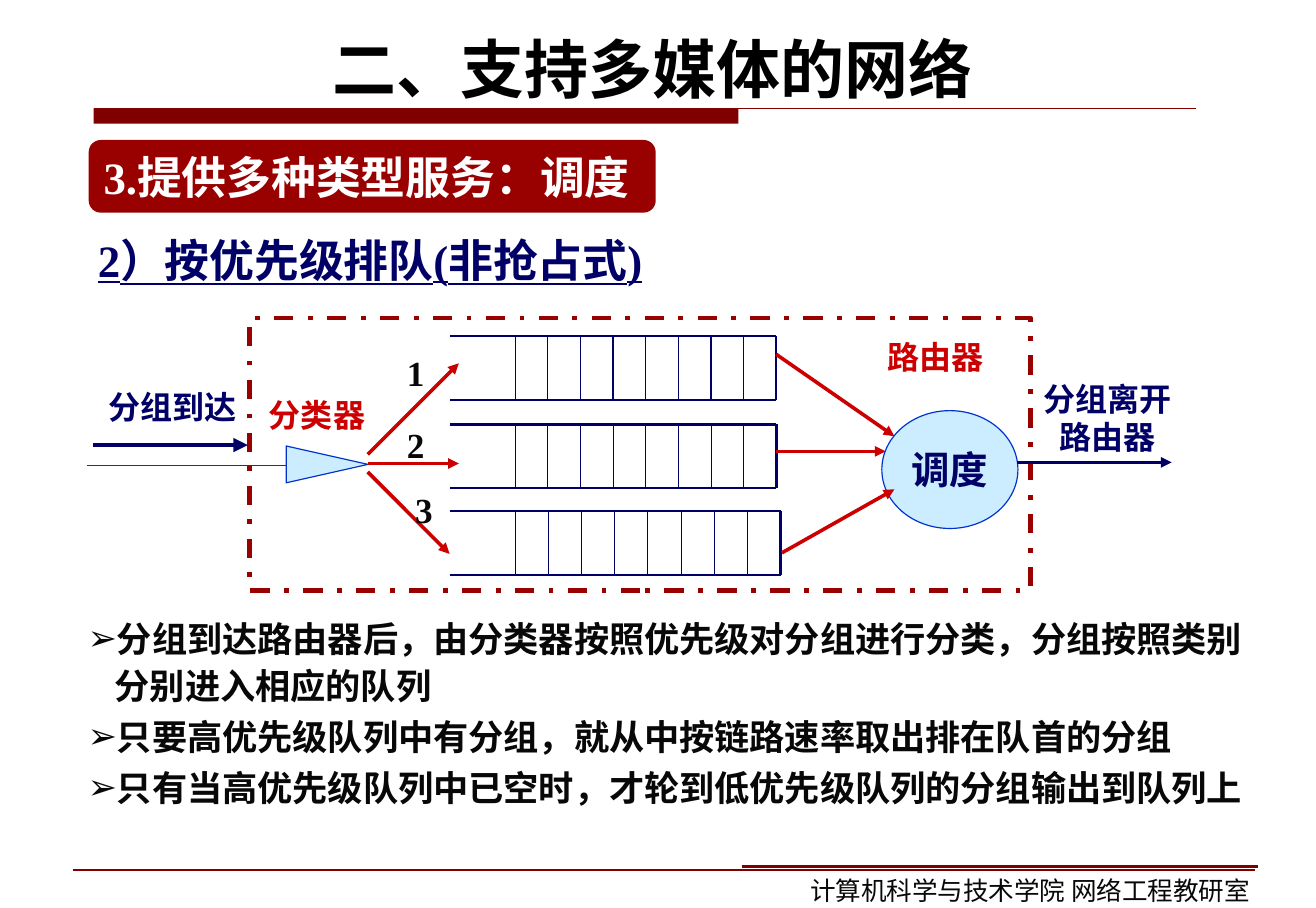
from lxml.etree import SubElement
from pptx import Presentation
from pptx.dml.color import RGBColor
from pptx.enum.dml import MSO_LINE
from pptx.enum.shapes import MSO_CONNECTOR, MSO_SHAPE
from pptx.enum.text import MSO_ANCHOR, MSO_AUTO_SIZE, PP_ALIGN
from pptx.oxml.ns import qn
from pptx.util import Pt

# Content
COLORS = {"black": "000000", "ink": "080808", "white": "FFFFFF", "navy": "000066",
          "blue": "0033CC", "sky": "CCECFF", "red": "CC0000", "crimson": "990000",
          "maroon": "800000"}
SERIF, SANS = "Times New Roman", "Arial"

TITLE = "二、支持多媒体的网络"
SECTION = "3.提供多种类型服务：调度"
POINTS = [
    "分组到达路由器后，由分类器按照优先级对分组进行分类，分组按照类别分别进入相应的队列",
    "只要高优先级队列中有分组，就从中按链路速率取出排在队首的分组",
    "只有当高优先级队列中已空时，才轮到低优先级队列的分组输出到队列上",
]

# text, (left, top, width, height), size, font, colour, alignment
LEFT, CENTER = PP_ALIGN.LEFT, PP_ALIGN.CENTER
LABELS = [
    ("分组离开路由器", (643.7, 233.3, 96.5, 55.4), 20, SANS, "navy", CENTER),
    ("分组到达", (59.8, 238.3, 96.5, 31.7), 20, SANS, "navy", CENTER),
    ("分类器", (149.8, 243.4, 96.5, 31.7), 20, SANS, "red", CENTER),
    ("路由器", (536, 207, 96.5, 31.7), 20, SANS, "red", CENTER),
    ("1", (247, 215.5, 28, 33.8), 22, SERIF, "ink", LEFT),
    ("2", (247, 260.8, 28, 33.8), 22, SERIF, "ink", LEFT),
    ("3", (252.2, 301.2, 28, 33.8), 22, SERIF, "ink", LEFT),
    ("计算机科学与技术学院 网络工程教研室", (499, 542.4, 302.4, 26.6), 16, SANS, "ink", LEFT),
]

# Queues: top and right edge
QUEUES = [(209.8, 484.8), (265, 485), (319.2, 487.6)]
QUEUE_LEFT, FIRST_DIVIDER, QUEUE_HEIGHT, CELLS = 280.8, 321.8, 39.8, 8

# start, end, colour, line width
ARROWS = [
    ((484.8, 221.2), (558.7, 272.4), "red", 2.25),
    ((488.4, 345.2), (558.7, 305.5), "red", 2.25),
    ((484.8, 281.8), (553.2, 281.8), "red", 2.25),
    ((635.3, 288.7), (731.8, 288.7), "navy", 2.25),
    ((229.7, 283.7), (286.6, 226.8), "red", 2.25),
    ((229.7, 289.4), (286.6, 289.4), "red", 2.25),
    ((229.7, 294.7), (280.8, 345.8), "red", 2.25),
    ((58.4, 277.9), (154.8, 277.9), "navy", 3),
]
RULES = [
    ((58.5, 67.7), (746.8, 67.7), "maroon", 0.75),
    ((54.2, 290.4), (178.6, 290.4), "blue", 0.75),
    ((45.6, 543.2), (784.2, 543.2), "maroon", 1.5),
    ((463.2, 541), (785.8, 541), "maroon", 2.25),
]

deck = Presentation()
deck.slide_width, deck.slide_height = Pt(822), Pt(566.9)
page = deck.slides.add_slide(deck.slide_layouts[1])


def color(name):
    return RGBColor.from_string(COLORS[name])


def place(box, area):
    box.left, box.top, box.width, box.height = map(Pt, area)


def style(para, size, font, ink, align=LEFT, bold=True):
    para.alignment = align
    para.font.size, para.font.name, para.font.bold = Pt(size), font, bold
    para.font.color.rgb = color(ink)


def add_line(start, end, ink, width, arrow=False):
    line = page.shapes.add_connector(MSO_CONNECTOR.STRAIGHT, *map(Pt, start + end))
    line.line.color.rgb = color(ink)
    line.line.width = Pt(width)
    if arrow:
        SubElement(line._element.spPr.find(qn("a:ln")), qn("a:tailEnd"), type="triangle")
    SubElement(line._element.spPr, qn("a:effectLst"))


def add_figure(kind, area, fill=None, ink=None, width=0.75):
    figure = page.shapes.add_shape(kind, *map(Pt, area))
    figure.shadow.inherit = False
    if fill:
        figure.fill.solid()
        figure.fill.fore_color.rgb = color(fill)
    else:
        figure.fill.background()
    if ink:
        figure.line.color.rgb = color(ink)
        figure.line.width = Pt(width)
    else:
        figure.line.fill.background()
    return figure


def add_label(text, area, size, font, ink, align, bold=True):
    box = page.shapes.add_textbox(*map(Pt, area))
    box.text_frame.word_wrap = True
    para = box.text_frame.paragraphs[0]
    para.text = text
    style(para, size, font, ink, align, bold)
    return para


def write_inside(figure, text, size, font, ink, align):
    frame = figure.text_frame
    frame.word_wrap = False
    frame.vertical_anchor = MSO_ANCHOR.MIDDLE
    frame.text = text
    style(frame.paragraphs[0], size, font, ink, align)


# Title and the bar under it
title = page.shapes.title
place(title, (44.2, 2.2, 727.2, 79.9))
title.text_frame.text = TITLE
title.text_frame.vertical_anchor = MSO_ANCHOR.MIDDLE
style(title.text_frame.paragraphs[0], 40, SERIF, "black", CENTER)
add_figure(MSO_SHAPE.RECTANGLE, (58.5, 67.7, 402.7, 9.5), "maroon")

# Bulleted list
body = page.placeholders[1]
place(body, (47.5, 379.4, 738, 128.9))
body.text_frame.auto_size = MSO_AUTO_SIZE.NONE
body.text_frame.text = "\n".join(POINTS)
for para in body.text_frame.paragraphs:
    style(para, 22, SERIF, "ink")
    para.line_spacing, para.space_before = 1.1, Pt(2.8)
    props = para._p.get_or_add_pPr()
    props.set("marL", str(Pt(17)))
    props.set("indent", str(-Pt(17)))
    bullet = props.makeelement(qn("a:buChar"), {"char": "➢"})
    props.insert_element_before(bullet, "a:tabLst", "a:defRPr")

# Headings
section = add_figure(MSO_SHAPE.ROUNDED_RECTANGLE, (55.4, 87.4, 354.2, 45.4), "crimson")
write_inside(section, SECTION, 28, SERIF, "white", LEFT)
heading = add_label("2）按优先级排队(非抢占式)", (54, 138.2, 737.3, 44.6), 28, SERIF, "navy", LEFT)
heading.font.underline = True
heading.line_spacing = 1.1

# Queues
for top, right in QUEUES:
    bottom = top + QUEUE_HEIGHT
    for y in (top, bottom):
        add_line((QUEUE_LEFT, y), (right, y), "navy", 1.5)
    step = (right - FIRST_DIVIDER) / CELLS
    for cell in range(CELLS + 1):
        x = FIRST_DIVIDER + cell * step
        add_line((x, top), (x, bottom), "navy", 1.5 if cell == CELLS else 0.75)

# Scheduler, classifier and router outline
scheduler = add_figure(MSO_SHAPE.OVAL, (550.8, 256.4, 85, 73.6), "sky", "blue")
write_inside(scheduler, "调度", 24, SANS, "navy", CENTER)
classifier = add_figure(MSO_SHAPE.ISOSCELES_TRIANGLE, (192.8, 264.4, 23, 51.1), "sky", "blue")
classifier.rotation = 90
router = add_figure(MSO_SHAPE.RECTANGLE, (155.8, 198.6, 488, 170.2), None, "crimson", 3)
router.line.dash_style = MSO_LINE.DASH_DOT

# Arrows, rules and labels
for arrow in ARROWS:
    add_line(*arrow, arrow=True)
for rule in RULES:
    add_line(*rule)
for label in LABELS:
    add_label(*label, bold=label[2] != 16)

deck.save("out.pptx")
